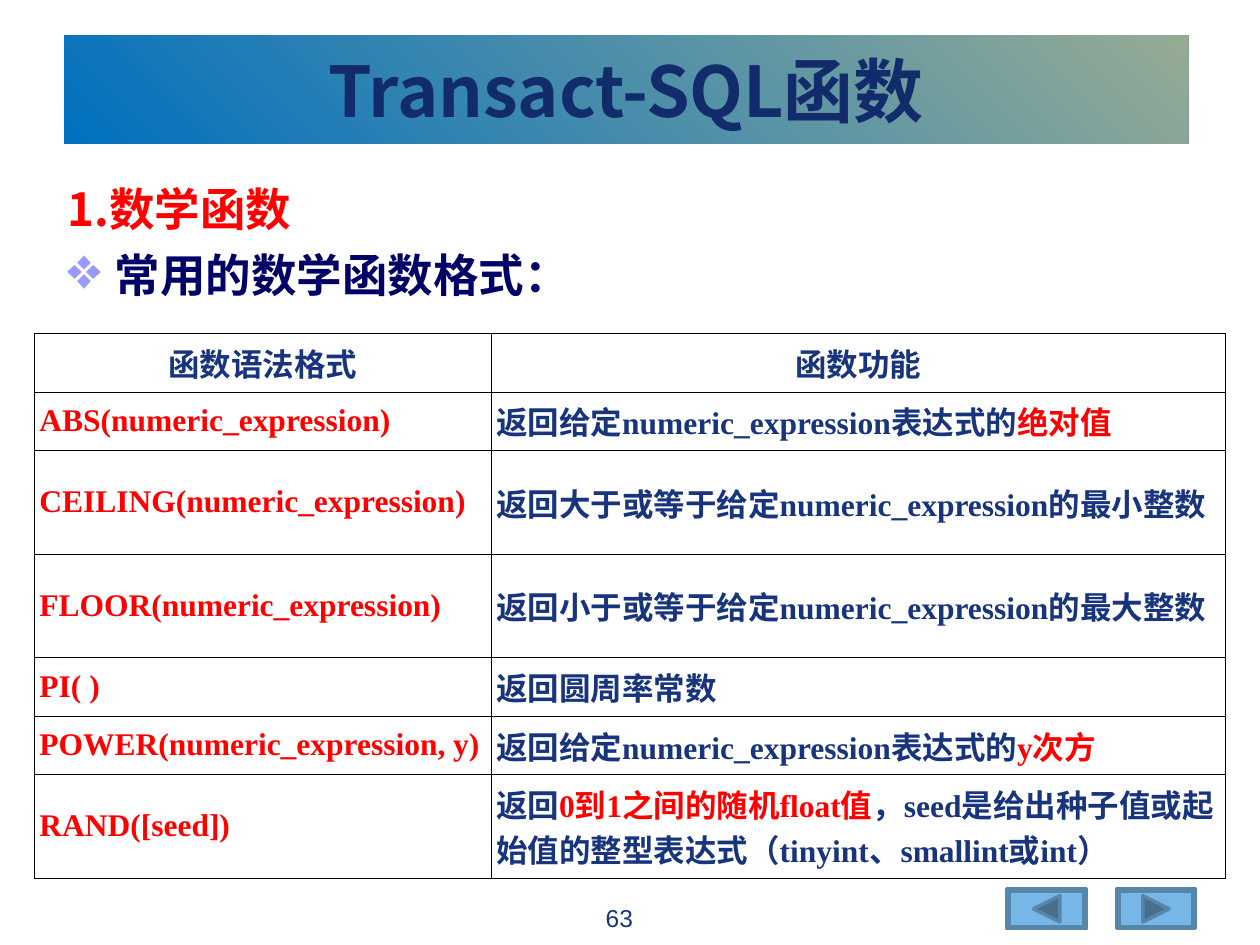
"""Build a slide that lists the Transact-SQL maths functions."""
from lxml.etree import SubElement
from pptx import Presentation
from pptx.dml.color import RGBColor
from pptx.enum.shapes import MSO_SHAPE
from pptx.enum.text import MSO_ANCHOR, PP_ALIGN
from pptx.oxml.ns import qn
from pptx.util import Pt

SANS = "Noto Sans CJK SC"
SERIF = "Times New Roman"
BLUE = RGBColor(0x00, 0x70, 0xC0)
SAGE = RGBColor(0x96, 0xAB, 0x94)
DEEP = RGBColor(0x12, 0x2B, 0x6A)
NAVY = RGBColor(0x17, 0x34, 0x7D)
DARK = RGBColor(0x00, 0x00, 0x66)
RED = RGBColor(0xFF, 0x00, 0x00)
LILAC = RGBColor(0x99, 0x99, 0xFF)
SKY = RGBColor(0x77, 0xB7, 0xE7)
STEEL = RGBColor(0x56, 0x86, 0xAA)
SLATE = RGBColor(0x47, 0x6E, 0x8B)
BLACK = RGBColor(0x00, 0x00, 0x00)
WHITE = RGBColor(0xFF, 0xFF, 0xFF)

ROWS = [
    ("ABS(numeric_expression)",
     [("返回给定numeric_expression表达式的", NAVY), ("绝对值", RED)]),
    ("CEILING(numeric_expression)",
     [("返回大于或等于给定numeric_expression的最小整数", NAVY)]),
    ("FLOOR(numeric_expression)",
     [("返回小于或等于给定numeric_expression的最大整数", NAVY)]),
    ("PI( )", [("返回圆周率常数", NAVY)]),
    ("POWER(numeric_expression, y)",
     [("返回给定numeric_expression表达式的", NAVY), ("y次方", RED)]),
    ("RAND([seed])",
     [("返回", NAVY), ("0到1之间的随机float值", RED),
      ("，seed是给出种子值或起始值的整型表达式（tinyint、smallint或int）", NAVY)]),
]
ONE, TWO = 33.4, 59.2
HIGHS = [ONE, ONE, TWO, TWO, ONE, ONE, TWO]


def write(para, text, size=18, font=SERIF, color=NAVY, bold=True, align=PP_ALIGN.LEFT):
    """Add one formatted run to a paragraph."""
    para.alignment = align
    run = para.add_run()
    run.text = text
    run.font.size = Pt(size)
    run.font.name = font
    run.font.bold = bold
    run.font.color.rgb = color
    east = SubElement(run.font._element, qn("a:ea"))
    east.set("typeface", SANS)


def hang(para, width, mark=None, color=LILAC):
    """Give a paragraph a hanging indent and, if wanted, a bullet."""
    props = para._p.get_or_add_pPr()
    props.set("marL", str(Pt(width)))
    props.set("indent", str(-Pt(width)))
    if mark:
        tint = SubElement(props, qn("a:buClr"))
        SubElement(tint, qn("a:srgbClr")).set("val", str(color))
        SubElement(props, qn("a:buSzPct")).set("val", "130000")
        SubElement(props, qn("a:buChar")).set("char", mark)
    else:
        SubElement(props, qn("a:buNone"))


def paint(shape, fill, line=None):
    """Set a flat fill, an optional 2 pt line and no shadow."""
    shape.shadow.inherit = False
    shape.fill.solid()
    shape.fill.fore_color.rgb = fill
    if line is None:
        shape.line.fill.background()
    else:
        shape.line.color.rgb = line
        shape.line.width = Pt(2)


def add_box(slide, left, top, width, height):
    """Add a wrapping text box and return its frame."""
    frame = slide.shapes.add_textbox(Pt(left), Pt(top), Pt(width), Pt(height)).text_frame
    frame.word_wrap = True
    return frame


def add_title(slide):
    """Add the gradient title bar."""
    bar = slide.shapes.add_shape(MSO_SHAPE.RECTANGLE, Pt(36.7), Pt(20.2), Pt(642.2), Pt(62))
    paint(bar, BLUE)
    bar.fill.gradient()
    bar.fill.gradient_angle = 45
    for stop, color, place in zip(bar.fill.gradient_stops, (BLUE, SAGE), (0, 1)):
        stop.color.rgb = color
        stop.position = place
    frame = bar.text_frame
    frame.vertical_anchor = MSO_ANCHOR.MIDDLE
    write(frame.paragraphs[0], "Transact-SQL函数", size=40, font=SANS, color=DEEP,
          align=PP_ALIGN.CENTER)


def add_body(slide):
    """Add the heading and its bullet line."""
    frame = add_box(slide, 31.4, 100, 661.7, 79.2)
    head = frame.paragraphs[0]
    hang(head, 27)
    write(head, "1.数学函数", size=26, font=SANS, color=RED)
    item = frame.add_paragraph()
    hang(item, 27, mark="❖")
    item.space_before = Pt(6.5)
    write(item, "常用的数学函数格式：", size=26, font=SANS, color=DARK)


def edge(cell):
    """Draw thin black borders around a cell."""
    props = cell._tc.get_or_add_tcPr()
    for side in ("lnL", "lnR", "lnT", "lnB"):
        line = SubElement(props, qn(f"a:{side}"))
        line.set("w", str(Pt(0.45)))
        fill = SubElement(line, qn("a:solidFill"))
        SubElement(fill, qn("a:srgbClr")).set("val", str(BLACK))


def fill_cell(cell, runs, align=PP_ALIGN.LEFT):
    """Style a cell and write its coloured runs."""
    edge(cell)
    cell.fill.solid()
    cell.fill.fore_color.rgb = WHITE
    cell.vertical_anchor = MSO_ANCHOR.MIDDLE
    cell.margin_left = cell.margin_right = Pt(3)
    for text, color in runs:
        write(cell.text_frame.paragraphs[0], text, color=color, align=align)


def add_grid(slide):
    """Add the table of functions."""
    table = slide.shapes.add_table(len(HIGHS), 2, Pt(19.6), Pt(190.6), Pt(680.6),
                                   Pt(sum(HIGHS))).table
    for column, width in zip(table.columns, (261, 419.6)):
        column.width = Pt(width)
    for row, height in zip(table.rows, HIGHS):
        row.height = Pt(height)
    for col, text in enumerate(("函数语法格式", "函数功能")):
        fill_cell(table.cell(0, col), [(text, NAVY)], align=PP_ALIGN.CENTER)
    for row, (form, runs) in enumerate(ROWS, 1):
        fill_cell(table.cell(row, 0), [(form, RED)])
        fill_cell(table.cell(row, 1), runs)


def add_button(slide, left, turn):
    """Add a bevelled button whose arrow points by the sign of turn."""
    top, width, height = 508, 45.2, 22.7
    base = slide.shapes.add_shape(MSO_SHAPE.BEVEL, Pt(left), Pt(top), Pt(width), Pt(height))
    base.adjustments[0] = 0.06
    paint(base, SKY, line=STEEL)
    mid, level = left + width / 2, top + height / 2
    back, tip = mid - 7.5 * turn, mid + 7.5 * turn
    path = slide.shapes.build_freeform(Pt(back), Pt(level - 7.5))
    path.add_line_segments([(Pt(tip), Pt(level)), (Pt(back), Pt(level + 7.5))])
    paint(path.convert_to_shape(), SLATE, line=STEEL)


def main():
    """Build and save the slide."""
    deck = Presentation()
    deck.slide_width, deck.slide_height = Pt(720), Pt(540)
    slide = deck.slides.add_slide(deck.slide_layouts[6])
    add_button(slide, 638, 1)
    add_button(slide, 575.5, -1)
    add_title(slide)
    add_body(slide)
    page = add_box(slide, 270, 512.6, 167.8, 24.5)
    write(page.paragraphs[0], "63", size=14, font="Arial", bold=False, align=PP_ALIGN.CENTER)
    add_grid(slide)
    deck.save("out.pptx")


if __name__ == "__main__":
    main()
